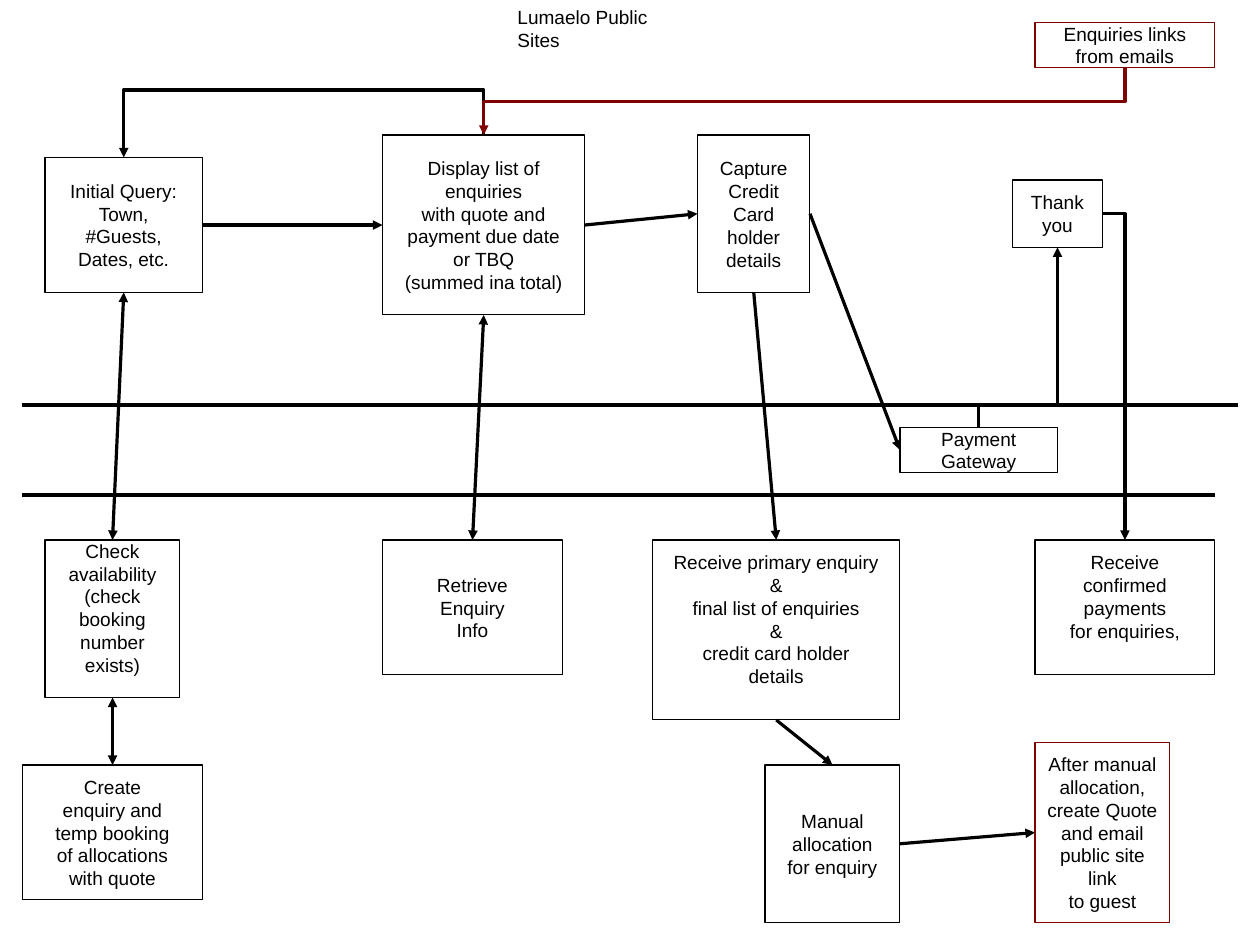
from lxml import etree
from pptx import Presentation
from pptx.dml.color import RGBColor
from pptx.enum.shapes import MSO_CONNECTOR, MSO_SHAPE
from pptx.enum.text import MSO_ANCHOR, PP_ALIGN
from pptx.oxml.ns import qn
from pptx.util import Pt

STRAIGHT, ELBOW = MSO_CONNECTOR.STRAIGHT, MSO_CONNECTOR.ELBOW
RECTANGLE = MSO_SHAPE.RECTANGLE
MIDDLE, CENTER = MSO_ANCHOR.MIDDLE, PP_ALIGN.CENTER
TOP, LEFT, BOTTOM, RIGHT = 0, 1, 2, 3
COLORS = {"black": "000000", "white": "FFFFFF", "red": "800000"}
CELL = 360 / 25.4
LINE_HEIGHT = 13.8


def format_text(text_frame, text):
    text_frame.text = text
    for paragraph in text_frame.paragraphs:
        paragraph.font.name = "Arial"
        paragraph.font.size = Pt(12)
        for run in paragraph.runs:
            run.font.name = "Arial"
            run.font.size = Pt(12)
            run.font.color.rgb = RGBColor.from_string(COLORS["black"])


def add_line(kind, start, end, color="black", arrows=()):
    points = [Pt(value * CELL) for value in (*start, *end)]
    connector = slide.shapes.add_connector(kind, *points)
    connector.line.color.rgb = RGBColor.from_string(COLORS[color])
    connector.line.width = Pt(0)
    properties = connector._element.spPr
    for arrow in arrows:
        etree.SubElement(properties.find(qn("a:ln")), qn("a:" + arrow), type="triangle")
    etree.SubElement(properties, qn("a:effectLst"))
    return connector


presentation = Presentation()
presentation.slide_width = Pt(56 * CELL)
presentation.slide_height = Pt(42 * CELL)
slide = presentation.slides.add_slide(presentation.slide_layouts[6])

title = slide.shapes.add_textbox(Pt(22.5 * CELL), Pt(0), Pt(8.5 * CELL), Pt(1.5 * CELL))
title.text_frame.word_wrap = False
format_text(title.text_frame, "Lumaelo Public Sites")

boxes = [
    ("query", 2, 7, 7, 6, "black", 0, "Initial Query:\nTown,\n#Guests,\nDates, etc."),
    ("capture", 31, 6, 5, 7, "black", 0, "Capture\nCredit Card\nholder details"),
    ("display", 17, 6, 9, 8, "black", 0,
     "Display list of\nenquiries\nwith quote and\npayment due date\nor TBQ\n(summed ina total)"),
    ("gateway", 40, 19, 7, 2, "black", 0, "Payment\nGateway"),
    ("thanks", 45, 8, 4, 3, "black", 0, "Thank you"),
    ("confirmed", 46, 24, 8, 6, "black", 1, "Receive\nconfirmed payments\nfor enquiries,"),
    ("check", 2, 24, 6, 7, "black", 1,
     "Check\navailability\n(check booking\nnumber exists)"),
    ("quote", 46, 33, 6, 8, "red", 0,
     "After manual\nallocation,\ncreate Quote\nand email\npublic site link\nto guest"),
    ("emails", 46, 1, 8, 2, "red", 0, "Enquiries links\nfrom emails"),
    ("retrieve", 17, 24, 8, 6, "black", 0, "Retrieve\nEnquiry\nInfo"),
    ("create", 1, 34, 8, 6, "black", 0,
     "Create\nenquiry and\ntemp booking\nof allocations\nwith quote"),
    ("primary", 29, 24, 11, 8, "black", 1,
     "Receive primary enquiry\n&\nfinal list of enquiries\n&\ncredit card holder\ndetails"),
    ("manual", 34, 34, 6, 7, "black", 0, "Manual\nallocation\nfor enquiry"),
]
shapes = {}
for name, left, top, width, height, color, lines_below, text in boxes:
    shape = slide.shapes.add_shape(
        RECTANGLE, *[Pt(value * CELL) for value in (left, top, width, height)])
    shape.shadow.inherit = False
    shape.fill.solid()
    shape.fill.fore_color.rgb = RGBColor.from_string(COLORS["white"])
    shape.line.color.rgb = RGBColor.from_string(COLORS[color])
    shape.line.width = Pt(0)
    text_frame = shape.text_frame
    text_frame.word_wrap = True
    text_frame.vertical_anchor = MIDDLE
    text_frame.margin_bottom = Pt(3.6 + lines_below * LINE_HEIGHT)
    format_text(text_frame, text)
    for paragraph in text_frame.paragraphs:
        paragraph.alignment = CENTER
    shapes[name] = shape

for y, right in ((18, 55), (22, 54)):
    add_line(STRAIGHT, (1, y), (right, y))

ONE_WAY = ("tailEnd",)
TWO_WAY = ("headEnd", "tailEnd")
flows = [
    ("display", BOTTOM, "retrieve", TOP, TWO_WAY),
    ("query", RIGHT, "display", LEFT, ONE_WAY),
    ("create", TOP, "check", BOTTOM, TWO_WAY),
    ("check", TOP, "query", BOTTOM, TWO_WAY),
    ("display", RIGHT, "capture", LEFT, ONE_WAY),
    ("capture", RIGHT, "gateway", LEFT, ONE_WAY),
    ("capture", BOTTOM, "primary", TOP, ONE_WAY),
    ("primary", BOTTOM, "manual", TOP, ONE_WAY),
    ("manual", RIGHT, "quote", LEFT, ONE_WAY),
]
for source, source_side, target, target_side, arrows in flows:
    connector = add_line(STRAIGHT, (0, 0), (1, 1), arrows=arrows)
    connector.begin_connect(shapes[source], source_side)
    connector.end_connect(shapes[target], target_side)

elbows = [
    ((43.5, 19), (47, 11), True, 12500, "black"),
    ((49, 9.5), (50, 24), False, 100000, "black"),
    ((21.5, 6), (5.5, 7), True, -200000, "black"),
    ((50, 3), (21.5, 6), True, 50000, "red"),
]
for start, end, starts_vertical, bend, color in elbows:
    connector = add_line(ELBOW, start, end, color, ONE_WAY)
    properties = connector._element.spPr
    if starts_vertical:
        across, down = end[0] - start[0], end[1] - start[1]
        width, height = abs(down), abs(across)
        connector.left = Pt(((start[0] + end[0]) - width) / 2 * CELL)
        connector.top = Pt(((start[1] + end[1]) - height) / 2 * CELL)
        connector.width, connector.height = Pt(width * CELL), Pt(height * CELL)
        transform = properties.find(qn("a:xfrm"))
        transform.set("rot", "5400000")
        transform.set("flipH", str(int(down < 0)))
        transform.set("flipV", str(int(across > 0)))
    adjustments = properties.find(qn("a:prstGeom")).find(qn("a:avLst"))
    etree.SubElement(adjustments, qn("a:gd"), name="adj1", fmla=f"val {bend}")

presentation.save("out.pptx")
